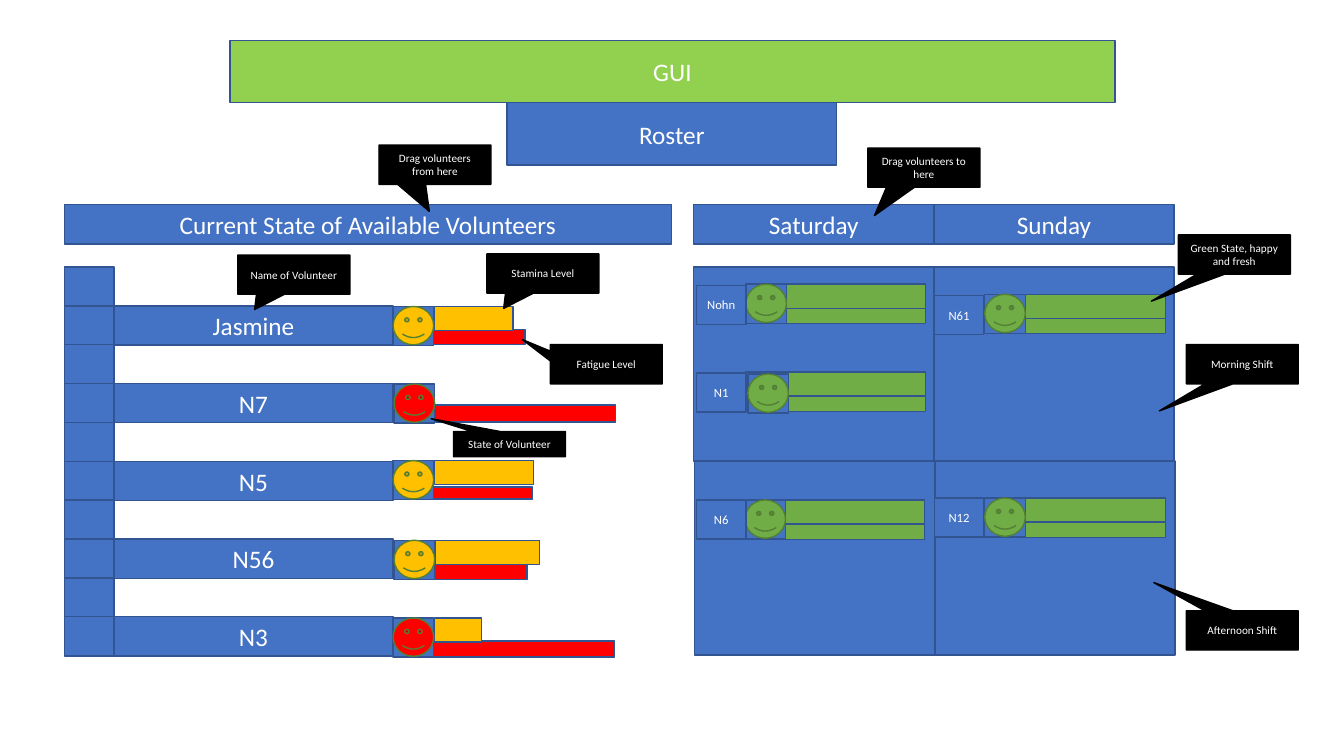
from pptx import Presentation
from pptx.dml.color import RGBColor
from pptx.enum.shapes import MSO_SHAPE
from pptx.enum.text import MSO_ANCHOR, PP_ALIGN
from pptx.util import Pt

COLORS = {
    "blue": "4472C4", "edge": "325491", "lime": "92D050", "green": "70AD47",
    "face_edge": "538035", "amber": "FFC000", "red": "FF0000",
    "black": "000000", "white": "FFFFFF",
}

deck = Presentation()
deck.slide_width, deck.slide_height = Pt(960), Pt(540)
page = deck.slides.add_slide(deck.slide_layouts[6])


def add_box(left, top, width, height, text="", size=18, fill="blue",
            edge="edge", kind=MSO_SHAPE.RECTANGLE):
    box = page.shapes.add_shape(kind, Pt(left), Pt(top), Pt(width), Pt(height))
    box.shadow.inherit = False
    box.fill.solid()
    box.fill.fore_color.rgb = RGBColor.from_string(COLORS[fill])
    box.line.color.rgb = RGBColor.from_string(COLORS[edge])
    box.line.width = Pt(1)
    if text:
        frame = box.text_frame
        frame.word_wrap = True
        frame.vertical_anchor = MSO_ANCHOR.MIDDLE
        para = frame.paragraphs[0]
        para.text = text
        para.alignment = PP_ALIGN.CENTER
        para.font.name = "Calibri"
        para.font.size = Pt(size)
        para.font.color.rgb = RGBColor.from_string(COLORS["white"])
    return box


def add_face(left, top, color):
    add_box(left, top, 29, ROW_HEIGHT)
    add_box(left, top, 29, 27.4, fill=color, edge="face_edge",
            kind=MSO_SHAPE.SMILEY_FACE)


ROW_HEIGHT = 28
ROW_STEP = 27.75
INDEX_LEFT, INDEX_WIDTH = 46.1, 35.3
GRID_TOP = 190.8
BAR_HEIGHT = 17.3
DAY_WIDTH = 171.6
SHIFT_HEIGHT = 138.6

# Headings
add_box(164.2, 28.8, 632.2, 44.6, "GUI", fill="lime")
add_box(362.2, 73.4, 235.4, 44.6, "Roster")
add_box(INDEX_LEFT, 146.2, 433.4, ROW_HEIGHT,
        "Current State of Available Volunteers")

# Index column beside the volunteers
for row in range(10):
    add_box(INDEX_LEFT, GRID_TOP + row * ROW_STEP, INDEX_WIDTH, ROW_HEIGHT)

# Volunteers: name, state, face left and top, stamina left and width,
# fatigue left, top, width and height
volunteers = [
    ("Jasmine", "amber", 280.8, 218.9, 310.3, 56.2, 309.6, 235.4, 65.5, 10.8),
    ("N7", "red", 281.5, 274.3, 310.3, 0, 310.3, 289.4, 129.6, 12.2),
    ("N5", "amber", 280.8, 329, 310.3, 70.6, 309.6, 347.8, 70.6, 8.6),
    ("N56", "amber", 281.5, 385.9, 311, 74.2, 311, 403.2, 65.5, 10.8),
    ("N3", "red", 280.8, 441.4, 310.3, 33.8, 309.6, 457.9, 129.6, 11.5),
]
for row, (name, state, left, top, stamina_left, stamina,
          *fatigue) in enumerate(volunteers):
    add_box(INDEX_LEFT + INDEX_WIDTH, GRID_TOP + (2 * row + 1) * ROW_STEP,
            199.4, ROW_HEIGHT, name)
    add_box(*fatigue, fill="red")
    if stamina:
        add_box(stamina_left, top, stamina, BAR_HEIGHT, fill="amber")
    add_face(left, top, state)

# Days with a morning and an afternoon shift
for column, day in enumerate(("Saturday", "Sunday")):
    left = 495.5 + column * DAY_WIDTH
    add_box(left, 146.2, DAY_WIDTH, ROW_HEIGHT, day)
    for shift in range(2):
        add_box(left + shift * 0.7, GRID_TOP + shift * SHIFT_HEIGHT,
                DAY_WIDTH, SHIFT_HEIGHT)

# Rostered volunteers: name, label left and top, face left and top,
# bars left and top
rostered = [
    ("Nohn", 497.5, 203.8, 532.8, 203, 532.8, 203),
    ("N1", 497.5, 266.4, 534.2, 267.1, 532.8, 265.7),
    ("N61", 667.4, 211, 703.4, 210.2, 704.5, 210.2),
    ("N6", 497.5, 357.1, 532.1, 357.1, 532.1, 357.1),
    ("N12", 667.4, 355.7, 703.4, 355.7, 704.5, 355.7),
]
for name, left, top, face_left, face_top, bar_left, bar_top in rostered:
    add_box(bar_left, bar_top + BAR_HEIGHT, 128.2, 10.8, fill="green")
    add_box(bar_left, bar_top, 128.2, BAR_HEIGHT, fill="green")
    add_face(face_left, face_top, "green")
    add_box(left, top, INDEX_WIDTH, ROW_HEIGHT, name, size=9)

# Callouts: text, left, top, height, pointer tip
callouts = [
    ("Name of Volunteer", 169.9, 182.2, 28, -0.35, 0.89),
    ("Stamina Level", 347.8, 181.4, 28, -0.35, 0.89),
    ("Fatigue Level", 393.1, 246.2, 28, -0.75, -0.63),
    ("State of Volunteer", 324, 308.2, 18, -0.7, -1.01),
    ("Morning Shift", 847.4, 246.2, 28, -0.74, 1.19),
    ("Afternoon Shift", 847.4, 436.3, 28, -0.79, -1.22),
    ("Green State, happy and fresh", 841.7, 167.8, 28, -0.74, 1.19),
    ("Drag volunteers from here", 270.7, 103.7, 28, -0.05, 1.19),
    ("Drag volunteers to here", 619.9, 105.8, 28, -0.44, 1.22),
]
for text, left, top, height, tip_x, tip_y in callouts:
    callout = add_box(left, top, 80, height, text, size=8, fill="black",
                      edge="black", kind=MSO_SHAPE.RECTANGULAR_CALLOUT)
    callout.adjustments[0] = tip_x
    callout.adjustments[1] = tip_y

deck.save("out.pptx")
